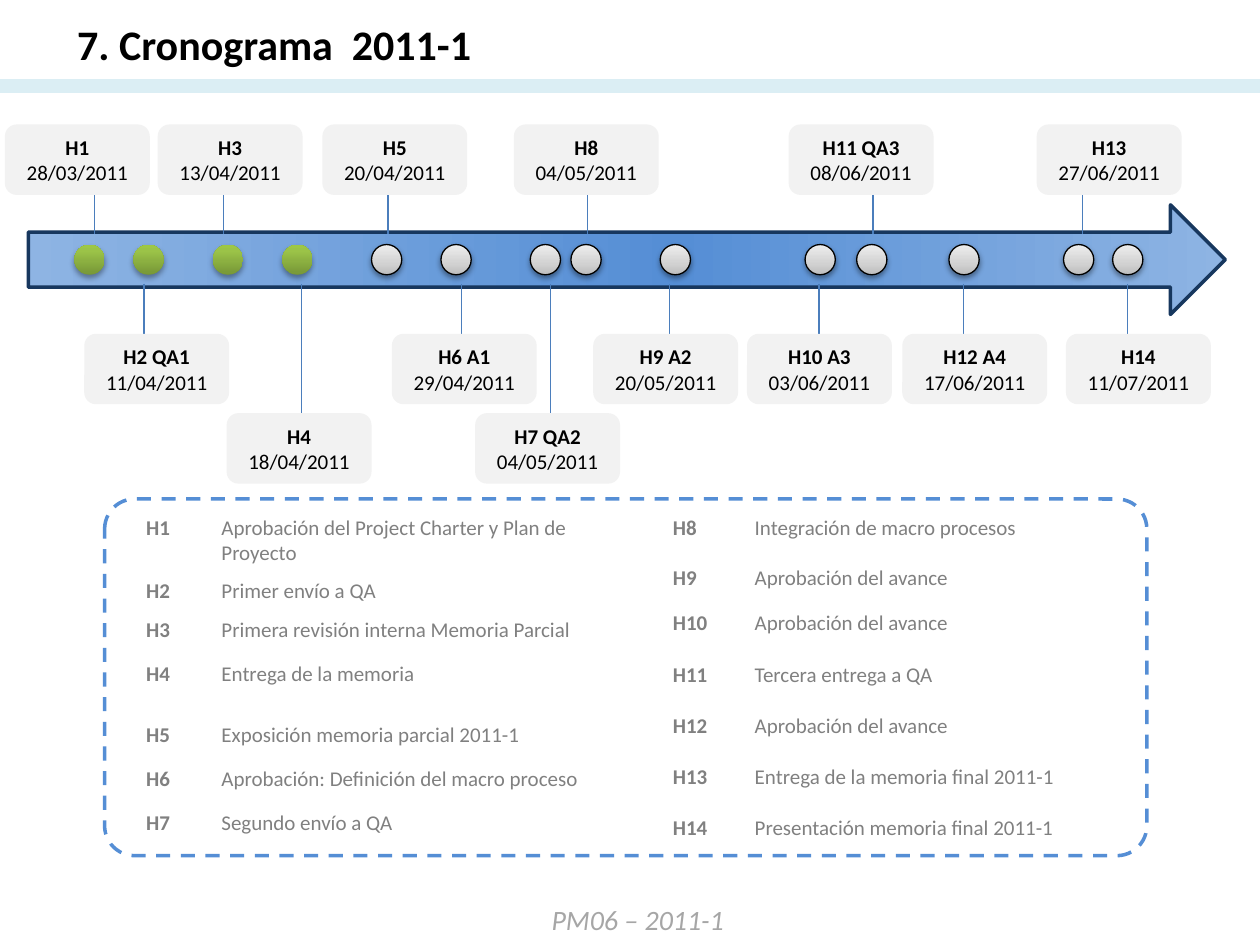
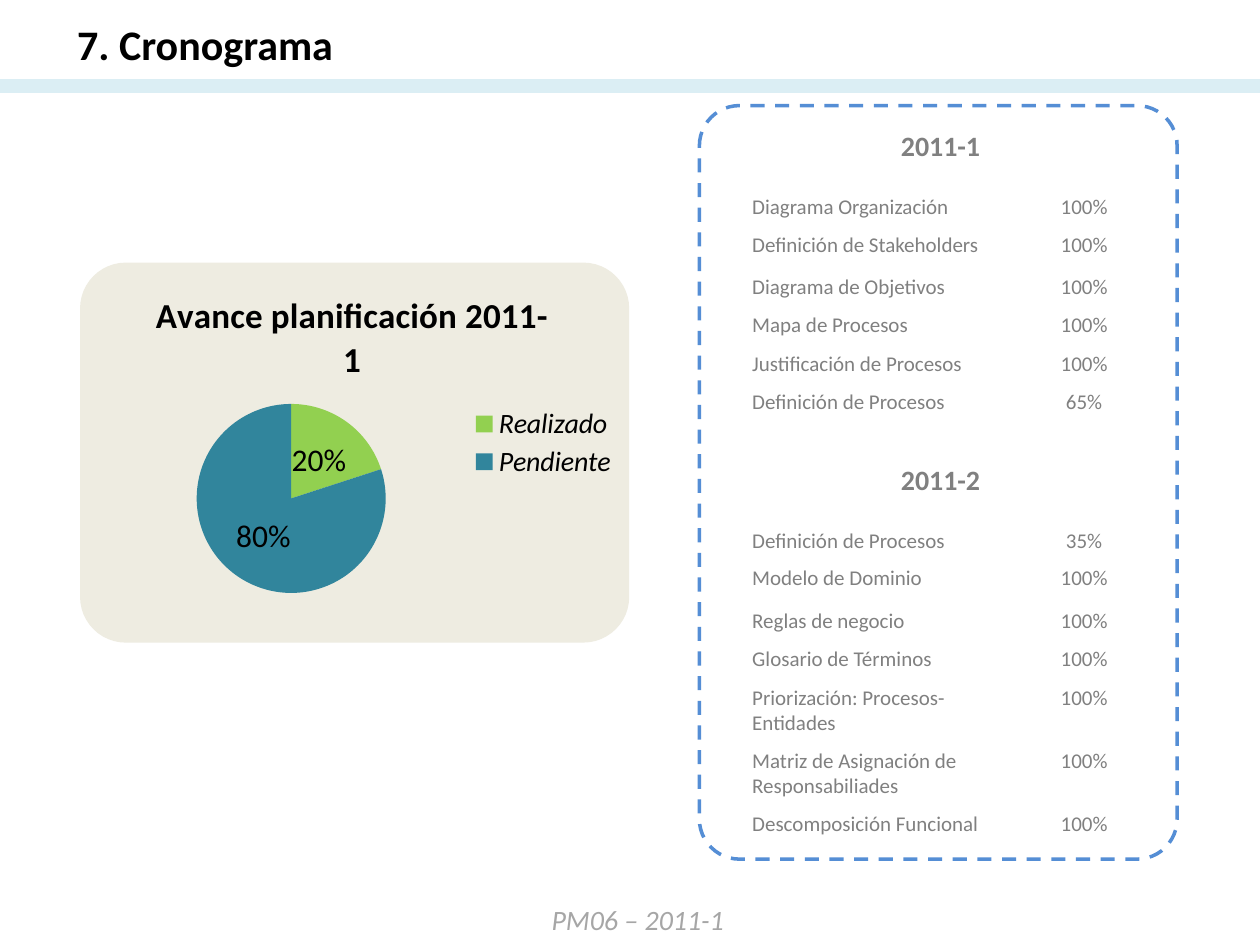
from dataclasses import dataclass
from typing import Any, Optional

from lxml.etree import SubElement
from pptx import Presentation
from pptx.chart.data import CategoryChartData
from pptx.dml.color import RGBColor
from pptx.enum.chart import XL_CHART_TYPE, XL_LABEL_POSITION, XL_LEGEND_POSITION
from pptx.enum.dml import MSO_LINE
from pptx.enum.shapes import MSO_CONNECTOR, MSO_SHAPE
from pptx.enum.text import MSO_ANCHOR, PP_ALIGN
from pptx.oxml.ns import qn
from pptx.util import Cm, Pt


@dataclass(frozen=True)
class Theme:
    """Colours and type sizes of the presentation."""
    font: str = "Calibri"
    ink: str = "000000"
    muted: str = "808080"
    footer: str = "A6A6A6"
    band: str = "DBEEF4"
    card: str = "F2F2F2"
    panel: str = "EEECE1"
    stem: str = "4B7EBC"
    frame: str = "558ED5"
    arrow_edge: str = "17375E"
    done: str = "92D050"
    pending: str = "31859C"
    arrow_stops: tuple = ((0, "8EB4E3"), (46, "558ED5"), (100, "8EB4E3"))
    done_stops: tuple = ((0, "779737"), (80, "9BC348"), (100, "9DC746"))
    pending_stops: tuple = ((0, "BDBDBD"), (35, "D1D1D1"), (100, "EEEEEE"))
    title_size: int = 24
    chart_title_size: int = 20
    label_size: int = 18
    heading_size: int = 16
    body_size: int = 12


@dataclass(frozen=True)
class Box:
    """Place and size in centimetres."""
    left: float
    top: float
    width: float
    height: float

    def lengths(self) -> tuple:
        """Return the four values as lengths."""
        return Cm(self.left), Cm(self.top), Cm(self.width), Cm(self.height)


@dataclass(frozen=True)
class Milestone:
    """One dated event, with its card, stem and dot positions."""
    label: str
    date: str
    card_left: float
    card_top: float
    stem_x: float
    dot_left: float
    done: bool = False


THEME = Theme()
UPPER, MIDDLE, LOWER = 2.51, 6.73, 8.33
CARD_WIDTH, CARD_HEIGHT = 2.92, 1.42
ARROW_TOP, ARROW_BOTTOM = 4.72, 5.72
DOT_TOP, DOT_SIZE = 4.93, 0.61

MILESTONES = (
    Milestone("H1", "28/03/2011", 0.1, UPPER, 1.9, 1.5, True),
    Milestone("H2 QA1", "11/04/2011", 1.7, MIDDLE, 2.9, 2.69, True),
    Milestone("H3", "13/04/2011", 3.18, UPPER, 4.5, 4.29, True),
    Milestone("H4", "18/04/2011", 4.57, LOWER, 6.08, 5.69, True),
    Milestone("H5", "20/04/2011", 6.5, UPPER, 7.82, 7.49),
    Milestone("H6 A1", "29/04/2011", 7.9, MIDDLE, 9.3, 8.89),
    Milestone("H7 QA2", "04/05/2011", 9.58, LOWER, 11.1, 10.69),
    Milestone("H8", "04/05/2011", 10.36, UPPER, 11.84, 11.51),
    Milestone("H9 A2", "20/05/2011", 11.96, MIDDLE, 13.49, 13.31),
    Milestone("H10 A3", "03/06/2011", 15.06, MIDDLE, 16.51, 16.23),
    Milestone("H11 QA3", "08/06/2011", 15.9, UPPER, 17.6, 17.27),
    Milestone("H12 A4", "17/06/2011", 18.19, MIDDLE, 19.43, 19.13),
    Milestone("H13", "27/06/2011", 20.9, UPPER, 21.82, 21.44),
    Milestone("H14", "11/07/2011", 21.49, MIDDLE, 22.73, 22.43),
)
FIRST_EVENTS = (
    ("H1", "Aprobación del Project Charter y Plan de Proyecto"),
    ("H2", "Primer envío a QA"),
    ("H3", "Primera revisión interna Memoria Parcial"),
    ("H4", "Entrega de la memoria"),
    ("H5", "Exposición memoria parcial 2011-1"),
    ("H6", "Aprobación: Definición del macro proceso"),
    ("H7", "Segundo envío a QA"),
)
LAST_EVENTS = (
    ("H8", "Integración de macro procesos"),
    ("H9", "Aprobación del avance"),
    ("H10", "Aprobación del avance"),
    ("H11", "Tercera entrega a QA"),
    ("H12", "Aprobación del avance"),
    ("H13", "Entrega de la memoria final 2011-1"),
    ("H14", "Presentación memoria final 2011-1"),
)
FIRST_TERM = (
    ("2011-1", ""),
    ("Diagrama Organización", "100%"),
    ("Definición de Stakeholders", "100%"),
    ("Diagrama de Objetivos", "100%"),
    ("Mapa de Procesos", "100%"),
    ("Justificación de Procesos", "100%"),
    ("Definición de Procesos", "65%"),
)
SECOND_TERM = (
    ("2011-2", ""),
    ("Definición de Procesos", "35%"),
    ("Modelo de Dominio", "100%"),
    ("Reglas de negocio", "100%"),
    ("Glosario de Términos", "100%"),
    ("Priorización: Procesos-Entidades", "100%"),
    ("Matriz de Asignación de Responsabiliades", "100%"),
    ("Descomposición Funcional", "100%"),
)


def set_font(font: Any, size: int, color: str, bold: Optional[bool] = None, italic: Optional[bool] = None) -> None:
    """Apply the theme typeface with the given look."""
    font.name, font.size, font.bold, font.italic = THEME.font, Pt(size), bold, italic
    font.color.rgb = RGBColor.from_string(color)


def add_line(slide: Any, start: tuple, end: tuple, color: str, width: float) -> None:
    """Draw a straight line without shadow."""
    line = slide.shapes.add_connector(MSO_CONNECTOR.STRAIGHT, *map(Cm, start + end))
    line.line.color.rgb = RGBColor.from_string(color)
    line.line.width = Pt(width)
    SubElement(line.element.spPr, qn("a:effectLst"))


def add_preset(slide: Any, preset: Any, box: Box, fill: Optional[str] = None,
               edge: Optional[str] = None, edge_width: float = 2) -> Any:
    """Add a flat preset shape with optional fill and outline."""
    shape = slide.shapes.add_shape(preset, *box.lengths())
    shape.shadow.inherit = False
    if fill:
        shape.fill.solid()
        shape.fill.fore_color.rgb = RGBColor.from_string(fill)
    else:
        shape.fill.background()
    if edge:
        shape.line.color.rgb = RGBColor.from_string(edge)
        shape.line.width = Pt(edge_width)
    else:
        shape.line.fill.background()
    return shape


def set_gradient(shape: Any, stops: tuple, angle: int) -> None:
    """Replace the empty fill by a linear gradient."""
    properties = shape.element.spPr
    gradient = SubElement(properties, qn("a:gradFill"), rotWithShape="1")
    stop_list = SubElement(gradient, qn("a:gsLst"))
    for position, color in stops:
        stop = SubElement(stop_list, qn("a:gs"), pos=str(position * 1000))
        SubElement(stop, qn("a:srgbClr"), val=color)
    SubElement(gradient, qn("a:lin"), ang=str(angle * 60000), scaled="0")
    properties.replace(properties.find(qn("a:noFill")), gradient)


def add_shadow(shape: Any, opacity: int, distance: float) -> None:
    """Give the shape a soft shadow below it."""
    effects = shape.element.spPr.find(qn("a:effectLst"))
    shadow = SubElement(effects, qn("a:outerShdw"), blurRad=str(Pt(3.1)), dist=str(Pt(distance)),
                        dir="5400000", rotWithShape="0")
    color = SubElement(shadow, qn("a:srgbClr"), val=THEME.ink)
    SubElement(color, qn("a:alpha"), val=str(opacity * 1000))


def add_base_slide(deck: Any, heading: str) -> Any:
    """Add a slide with the shared title, band and footer."""
    slide = deck.slides.add_slide(deck.slide_layouts[5])
    title = slide.shapes.title
    title.left, title.top, title.width, title.height = Box(1.3, 0.25, 12.8, 1.27).lengths()
    title.text_frame.text = heading
    title.text_frame.vertical_anchor = MSO_ANCHOR.MIDDLE
    paragraph = title.text_frame.paragraphs[0]
    paragraph.alignment = PP_ALIGN.LEFT
    set_font(paragraph.font, THEME.title_size, THEME.ink, bold=True)
    add_line(slide, (0, 1.73), (25.4, 1.73), THEME.band, 8)
    footer = slide.shapes.add_textbox(*Box(10.87, 18.06, 4.04, 0.94).lengths()).text_frame
    footer.word_wrap = False
    footer.text = "PM06 – 2011-1"
    set_font(footer.paragraphs[0].font, THEME.heading_size, THEME.footer, italic=True)
    return slide


def add_milestone(slide: Any, event: Milestone) -> None:
    """Draw the stem, card and dot of one event."""
    above = event.card_top == UPPER
    start, end = (UPPER + CARD_HEIGHT, ARROW_TOP) if above else (ARROW_BOTTOM, event.card_top)
    add_line(slide, (event.stem_x, start), (event.stem_x, end), THEME.stem, 0.75)
    card = add_preset(slide, MSO_SHAPE.ROUNDED_RECTANGLE,
                      Box(event.card_left, event.card_top, CARD_WIDTH, CARD_HEIGHT), THEME.card)
    paragraph = card.text_frame.paragraphs[0]
    paragraph.alignment = PP_ALIGN.CENTER
    set_font(paragraph.font, THEME.body_size, THEME.ink)
    label = paragraph.add_run()
    label.text, label.font.bold = event.label, True
    paragraph.add_line_break()
    paragraph.add_run().text = event.date
    dot = add_preset(slide, MSO_SHAPE.OVAL, Box(event.dot_left, DOT_TOP, DOT_SIZE, DOT_SIZE),
                     edge=None if event.done else THEME.ink, edge_width=0.75)
    set_gradient(dot, THEME.done_stops if event.done else THEME.pending_stops, 270)
    add_shadow(dot, *((35, 1.8) if event.done else (38, 1.6)))


def add_grid(slide: Any, left: float, top: float, columns: tuple, heights: tuple, rows: tuple,
             progress: bool = False) -> None:
    """Add a clear table of events, or of progress under a merged heading."""
    box = Box(left, top, sum(columns), sum(heights))
    table = slide.shapes.add_table(len(rows), len(columns), *box.lengths()).table
    table.horz_banding = False
    for column, width in zip(table.columns, columns):
        column.width = Cm(width)
    for row_index, (values, height) in enumerate(zip(rows, heights)):
        table.rows[row_index].height = Cm(height)
        heading = progress and row_index == 0
        for column_index, value in enumerate(values):
            cell = table.cell(row_index, column_index)
            cell.fill.background()
            cell.text = value
            paragraph = cell.text_frame.paragraphs[0]
            centred = heading or (progress and column_index == 1)
            paragraph.alignment = PP_ALIGN.CENTER if centred else PP_ALIGN.LEFT
            set_font(paragraph.font, THEME.heading_size if heading else THEME.body_size, THEME.muted,
                     bold=heading or (not progress and column_index == 0))
    if progress:
        table.cell(0, 0).merge(table.cell(0, 1))


def add_frame(slide: Any, box: Box) -> None:
    """Draw a dashed rounded frame."""
    frame = add_preset(slide, MSO_SHAPE.ROUNDED_RECTANGLE, box, edge=THEME.frame)
    frame.adjustments[0] = 0.084
    frame.line.dash_style = MSO_LINE.DASH


def place_part(chart: Any, tag: str, index: int, **fractions: float) -> None:
    """Fix a chart part at fractions of the chart area."""
    part = chart.element.find(".//" + qn(tag))
    for previous in part.findall(qn("c:layout")):
        part.remove(previous)
    layout = SubElement(part, qn("c:layout"))
    manual = SubElement(layout, qn("c:manualLayout"))
    if tag == "c:plotArea":
        SubElement(manual, qn("c:layoutTarget"), val="inner")
    for axis in "xy":
        SubElement(manual, qn(f"c:{axis}Mode"), val="edge")
    for key, value in fractions.items():
        SubElement(manual, qn(f"c:{key}"), val=str(value))
    part.insert(index, layout)


def add_progress_pie(slide: Any, box: Box) -> None:
    """Add the pie of finished and pending planning."""
    data = CategoryChartData()
    data.categories = ("Realizado", "Pendiente")
    data.add_series("Series 1", (20, 80))
    chart = slide.shapes.add_chart(XL_CHART_TYPE.PIE, *box.lengths(), data).chart
    set_font(chart.font, THEME.label_size, THEME.ink)
    chart.has_title = True
    chart.chart_title.text_frame.text = "Avance planificación 2011-1"
    set_font(chart.chart_title.text_frame.paragraphs[0].font, THEME.chart_title_size, THEME.ink, bold=True)
    chart.has_legend = True
    chart.legend.position = XL_LEGEND_POSITION.RIGHT
    chart.legend.include_in_layout = False
    set_font(chart.legend.font, THEME.heading_size, THEME.ink, italic=True)
    plot = chart.plots[0]
    plot.vary_by_categories = True
    for index, color in enumerate((THEME.done, THEME.pending)):
        fill = plot.series[0].points[index].format.fill
        fill.solid()
        fill.fore_color.rgb = RGBColor.from_string(color)
    plot.has_data_labels = True
    labels = plot.data_labels
    labels.show_percentage, labels.show_value = True, False
    labels.number_format, labels.number_format_is_linked = "0%", False
    labels.position = XL_LABEL_POSITION.CENTER
    set_font(labels.font, THEME.label_size, THEME.ink)
    place_part(chart, "c:title", 1, x=0.09, y=0.1)
    place_part(chart, "c:legend", 1, x=0.7, y=0.4, w=0.28, h=0.2)
    place_part(chart, "c:plotArea", 0, x=0.18, y=0.4, w=0.36, h=0.48)


def build_timeline(deck: Any) -> None:
    """Build the slide of milestones."""
    slide = add_base_slide(deck, "7. Cronograma  2011-1")
    arrow = add_preset(slide, MSO_SHAPE.UP_ARROW, Box(11.53, -6.83, 2.21, 24.13), edge=THEME.arrow_edge)
    arrow.rotation = 90
    set_gradient(arrow, THEME.arrow_stops, 90)
    for event in MILESTONES:
        add_milestone(slide, event)
    add_grid(slide, 2.69, 10.26, (1.52, 8.1), (1.27, 0.79, 0.89, 1.22, 0.89, 0.89, 0.89), FIRST_EVENTS)
    add_grid(slide, 13.31, 10.26, (1.65, 8.74), (1.02, 0.91) + (1.03,) * 5, LAST_EVENTS)
    add_frame(slide, Box(2.11, 10.06, 21.01, 7.19))


def build_progress(deck: Any) -> None:
    """Build the slide of planning progress."""
    slide = add_base_slide(deck, "7. Cronograma")
    panel = add_preset(slide, MSO_SHAPE.ROUNDED_RECTANGLE, Box(1.65, 5.33, 11, 7.59), THEME.panel, THEME.panel)
    panel.adjustments[0] = 0.117
    add_progress_pie(slide, Box(2.06, 4.93, 10.59, 8))
    columns, first_rows = (5.79, 2.31), (1.3, 0.76, 0.86, 0.77, 0.77)
    add_grid(slide, 14.91, 2.49, columns, first_rows + (0.77, 0.99), FIRST_TERM, progress=True)
    add_grid(slide, 14.91, 9.22, columns, first_rows + (1.27, 1.27, 0.99), SECOND_TERM, progress=True)
    add_frame(slide, Box(14.1, 2.13, 9.63, 15.19))


def main() -> None:
    """Build and save the presentation."""
    deck = Presentation()
    deck.slide_width, deck.slide_height = Cm(25.4), Cm(19.05)
    build_timeline(deck)
    build_progress(deck)
    deck.save("out.pptx")


main()
